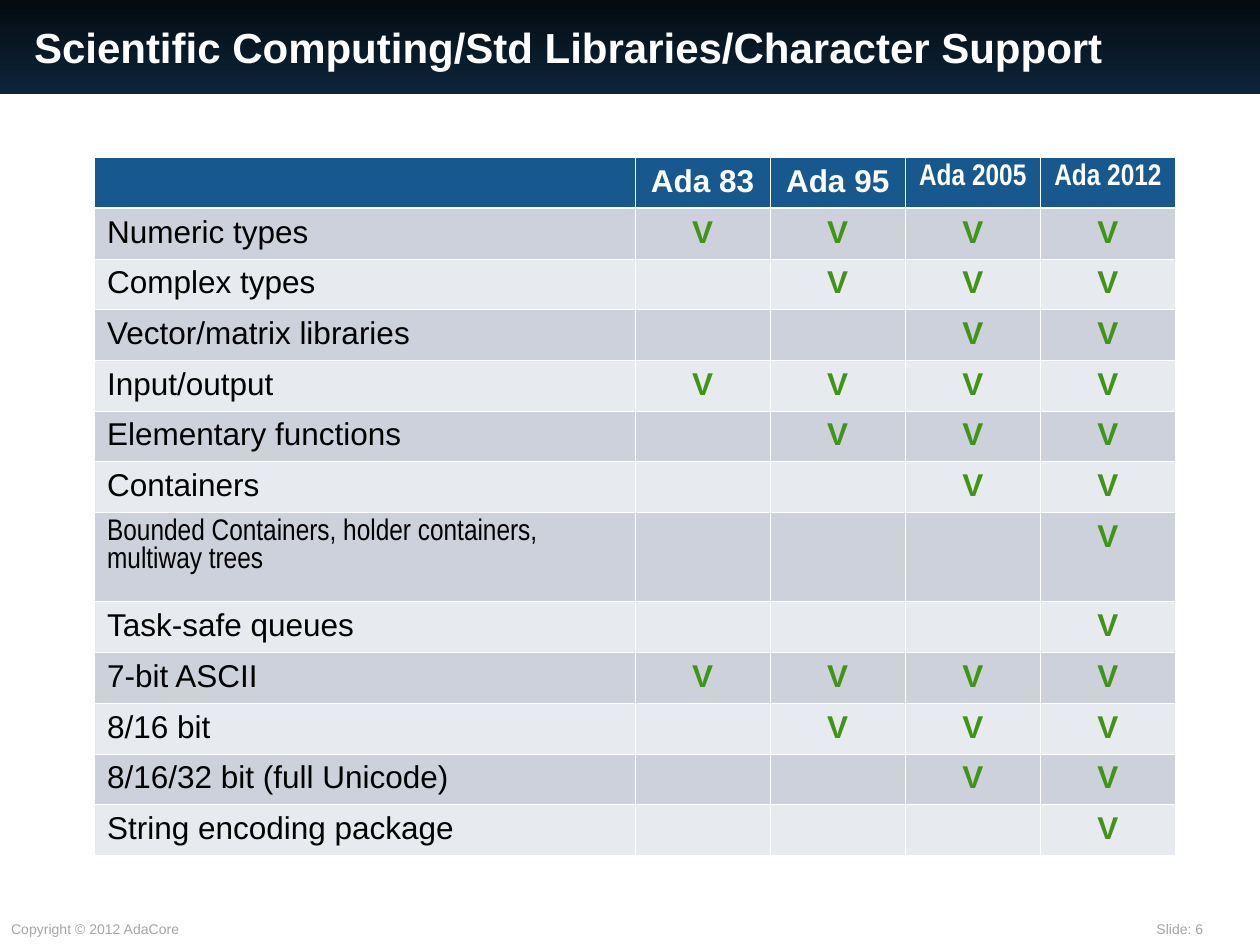
from lxml import etree
from pptx import Presentation
from pptx import util as u
from pptx.dml.color import RGBColor
from pptx.enum import shapes, text
from pptx.oxml.ns import qn

WHITE = RGBColor(0xFF, 0xFF, 0xFF)
BLACK = RGBColor(0x00, 0x00, 0x00)
GREY = RGBColor(0xA6, 0xA6, 0xA6)
GREEN = RGBColor(0x41, 0x94, 0x15)
BLUE = RGBColor(0x17, 0x59, 0x8F)
DARK = RGBColor(0xCC, 0xD1, 0xDB)
LIGHT = RGBColor(0xE7, 0xEA, 0xEE)
TOP = RGBColor(0x04, 0x0B, 0x11)
BASE = RGBColor(0x0D, 0x25, 0x3A)

deck = Presentation()
deck.slide_width, deck.slide_height = u.Inches(10), u.Inches(7.5)
page = deck.slides.add_slide(deck.slide_layouts[5])


def write(para, words, size, color, bold=False, font="Arial"):
    run = para.add_run()
    run.text = words
    run.font.size = u.Pt(size)
    run.font.name = font
    run.font.bold = bold
    run.font.color.rgb = color


def border(cell, side, width):
    line = etree.SubElement(cell._tc.get_or_add_tcPr(), qn("a:" + side),
                            w=str(u.Pt(width)))
    fill = etree.SubElement(line, qn("a:solidFill"))
    etree.SubElement(fill, qn("a:srgbClr"), val=str(WHITE))


# Title on its gradient band
band = page.shapes.add_shape(shapes.MSO_SHAPE.RECTANGLE, u.Inches(-0.01), 0,
                             u.Inches(10.01), u.Inches(0.75))
band.shadow.inherit = False
band.line.fill.background()
band.fill.gradient()
band.fill.gradient_angle = 270
for stop, color in zip(band.fill.gradient_stops, (TOP, BASE)):
    stop.color.rgb = color

title = page.shapes.title
title.element.addprevious(band.element)
title.left, title.top = u.Inches(0.17), u.Inches(0.08)
title.width, title.height = u.Inches(8.75), u.Inches(0.58)
frame = title.text_frame
frame.word_wrap = True
frame.auto_size = text.MSO_AUTO_SIZE.NONE
frame.vertical_anchor = text.MSO_ANCHOR.MIDDLE
frame.paragraphs[0].alignment = text.PP_ALIGN.LEFT
write(frame.paragraphs[0],
      "Scientific Computing/Std Libraries/Character Support", 24, WHITE, True)

# Footer
for words, left, width, wrap in (("Copyright © 2012 AdaCore", -0.01, 1.57, False),
                                 ("Slide: 6", 9.08, 0.91, True)):
    box = page.shapes.add_textbox(u.Inches(left), u.Inches(7.26),
                                  u.Inches(width), u.Inches(0.24))
    box.text_frame.word_wrap = wrap
    box.text_frame.auto_size = text.MSO_AUTO_SIZE.SHAPE_TO_FIT_TEXT
    write(box.text_frame.paragraphs[0], words, 8, GREY)

# Each feature with the first language version that supports it
heads = ["Ada 83", "Ada 95", "Ada 2005", "Ada 2012"]
feats = [
    ("Numeric types", 1),
    ("Complex types", 2),
    ("Vector/matrix libraries", 3),
    ("Input/output", 1),
    ("Elementary functions", 2),
    ("Containers", 3),
    ("Bounded Containers, holder containers, multiway trees", 4),
    ("Task-safe queues", 4),
    ("7-bit ASCII", 1),
    ("8/16 bit", 2),
    ("8/16/32 bit (full Unicode)", 3),
    ("String encoding package", 4),
]
rows = [[""] + heads]
for name, first in feats:
    rows.append([name] + ["V" if col >= first else "" for col in range(1, 5)])

# Table
TALL, LOW = 0.71, 4.83 / 12
grid = page.shapes.add_table(len(rows), 5, u.Inches(0.75), u.Inches(1.25),
                             u.Inches(8.58), u.Inches(TALL + 12 * LOW)).table
for col, part in zip(grid.columns, (4, 1, 1, 1, 1)):
    col.width = u.Inches(8.58 * part / 8)

for r, row in enumerate(rows):
    long = len(row[0]) > 40
    grid.rows[r].height = u.Inches(TALL if long else LOW)
    for c, words in enumerate(row):
        cell = grid.cell(r, c)
        for side in ("lnL", "lnR", "lnT", "lnB"):
            thick = (r, side) in ((0, "lnB"), (1, "lnT"))
            border(cell, side, 1.47 if thick else 0.45)
        cell.fill.solid()
        cell.fill.fore_color.rgb = BLUE if r == 0 else DARK if r % 2 else LIGHT
        if not words:
            continue
        para = cell.text_frame.paragraphs[0]
        if c:
            para.alignment = text.PP_ALIGN.CENTER
        slim = (long and c == 0) or (r == 0 and c > 2)
        color = WHITE if r == 0 else GREEN if c else BLACK
        write(para, words, 17 if slim else 18, color, r == 0 or c > 0,
              "Arial Narrow" if slim else "Arial")

deck.save("out.pptx")
